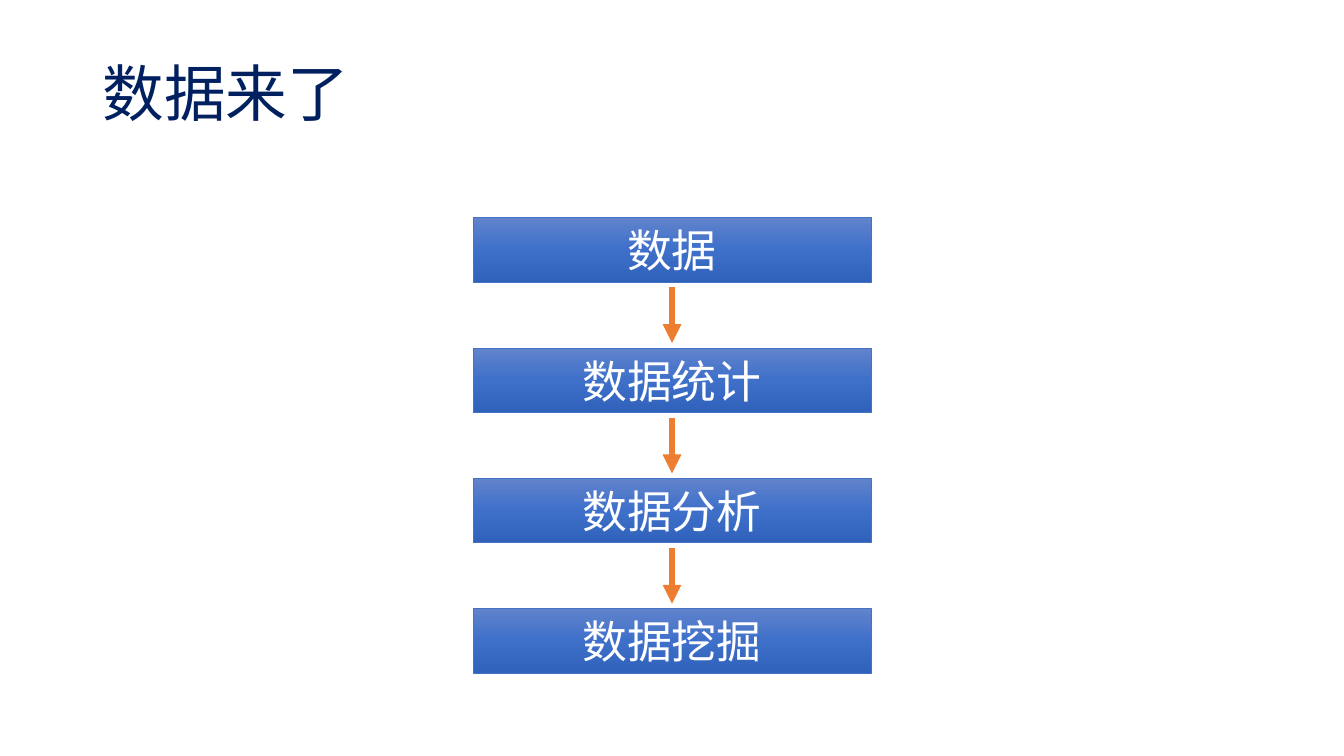
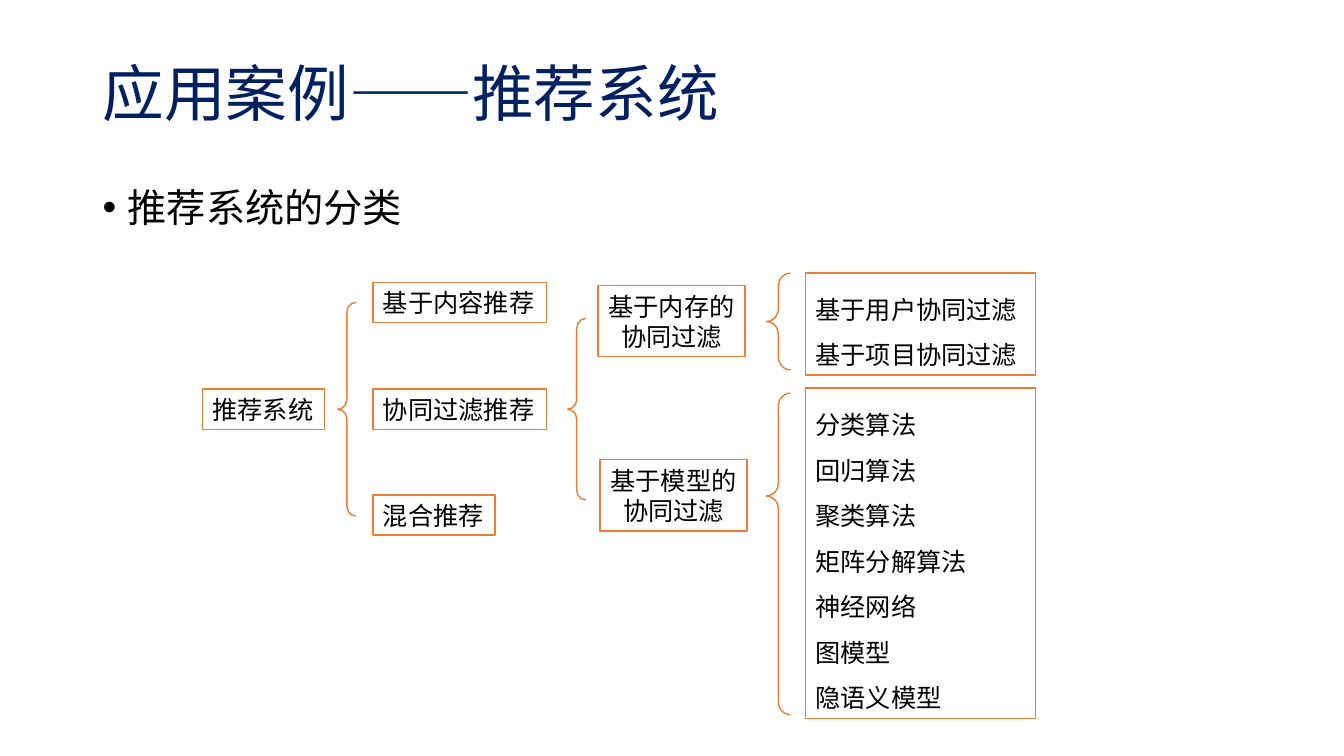
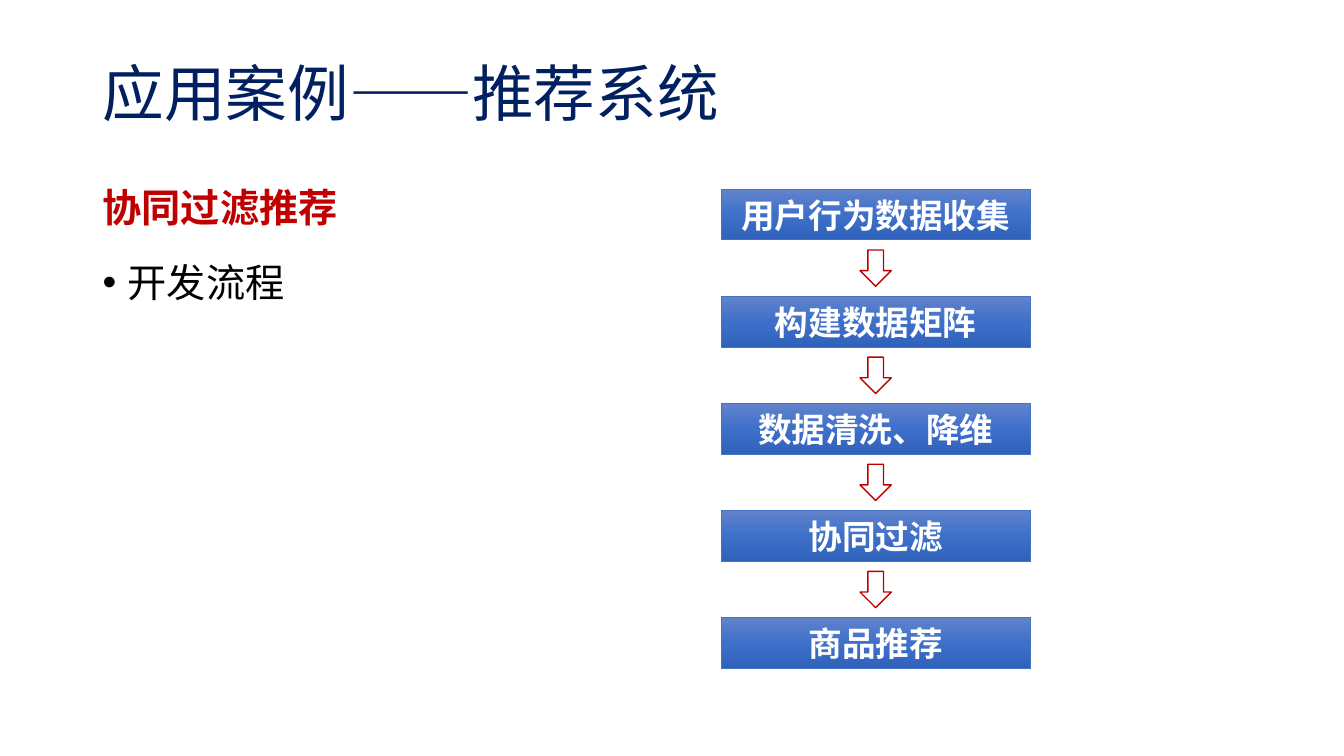
from lxml import etree
from pptx import Presentation
from pptx.dml.color import RGBColor
from pptx.enum import shapes, text
from pptx.oxml.ns import qn
from pptx.util import Inches, Pt

HUES = {"navy": "002060", "black": "000000", "white": "FFFFFF", "blue": "4472C4",
        "orange": "ED7D31", "red": "C00000"}
SHADE = [(0, "6183CB"), (50, "3E70CA"), (100, "3062BB")]
CJK = "Noto Sans CJK SC"
KIND = shapes.MSO_SHAPE
LEFT, MID = text.PP_ALIGN.LEFT, text.PP_ALIGN.CENTER

STAGES = ["数据", "数据统计", "数据分析", "数据挖掘"]
CASE = "应用案例——推荐系统"
FLOW = ["用户行为数据收集", "构建数据矩阵", "数据清洗、降维", "协同过滤", "商品推荐"]
NODES = [
    (2.01, 3.86, 1.21, "推荐系统"),
    (3.7, 2.8, 1.72, "基于内容推荐"),
    (3.7, 3.86, 1.72, "协同过滤推荐"),
    (3.7, 4.91, 1.21, "混合推荐"),
]
PAIRS = [
    (5.93, 2.83, "基于内存的\n协同过滤"),
    (5.95, 4.56, "基于模型的\n协同过滤"),
]
LISTS = [
    (2.71, 1.01, ["基于用户协同过滤", "基于项目协同过滤"]),
    (3.85, 3.28, ["分类算法", "回归算法", "聚类算法", "矩阵分解算法",
                  "神经网络", "图模型", "隐语义模型"]),
]
BRACES = [
    (3.35, 3, 0.18, 2.12, 0.5),
    (5.63, 3.16, 0.18, 1.8, 0.5),
    (7.6, 3.9, 0.24, 3.19, 0.32),
    (7.6, 2.71, 0.24, 0.96, 0.5),
]


def rgb(hue):
    return RGBColor.from_string(HUES[hue])


def style(para, size, hue, font=CJK, bold=False, align=LEFT, space=None):
    para.alignment = align
    if space:
        para.line_spacing = space
    for run in para.runs:
        run.font.size, run.font.bold, run.font.name = Pt(size), bold, font
        run.font.color.rgb = rgb(hue)
        etree.SubElement(run.font._element, qn("a:ea")).set("typeface", CJK)


def add_text(slide, box, words, anchor):
    frame = slide.shapes.add_textbox(*map(Inches, box)).text_frame
    frame.word_wrap = True
    frame.vertical_anchor = anchor
    frame.text = words
    return frame


def add_slide(deck, title):
    slide = deck.slides.add_slide(deck.slide_layouts[6])
    frame = add_text(slide, (0.92, 0.4, 11.5, 1.11), title, text.MSO_ANCHOR.MIDDLE)
    style(frame.paragraphs[0], 44, "navy", "Times New Roman", space=0.9)
    return slide


def add_body(slide, items):
    words = "\n".join(item[0] for item in items)
    frame = add_text(slide, (0.92, 1.63, 11.5, 5.13), words, text.MSO_ANCHOR.TOP)
    for para, (_, hue, head) in zip(frame.paragraphs, items):
        style(para, 28, hue, "Arial", head, space=Pt(43.6))
        para.space_before = Pt(10)
        if not head:
            props = para._p.get_or_add_pPr()
            props.set("marL", str(Inches(0.25)))
            props.set("indent", str(Inches(-0.25)))
            etree.SubElement(props, qn("a:buFont")).set("typeface", "Arial")
            etree.SubElement(props, qn("a:buChar")).set("char", "•")


def add_part(slide, kind, box, line, fill=None, width=1):
    part = slide.shapes.add_shape(kind, *map(Inches, box))
    part.shadow.inherit = False
    part.line.color.rgb = rgb(line)
    part.line.width = Pt(width)
    if fill:
        part.fill.solid()
        part.fill.fore_color.rgb = rgb(fill)
    else:
        part.fill.background()
    return part


def label(part, words, **look):
    frame = part.text_frame
    frame.word_wrap = True
    frame.vertical_anchor = text.MSO_ANCHOR.MIDDLE
    frame.text = words
    for para in frame.paragraphs:
        style(para, **look)


def add_step(slide, box, words, size, bold):
    step = add_part(slide, KIND.RECTANGLE, box, "blue", width=0.5)
    step.fill.gradient()
    step.fill.gradient_angle = 270
    stops = step._element.spPr.find(".//" + qn("a:gsLst"))
    for stop in list(stops):
        stops.remove(stop)
    for spot, tone in SHADE:
        stop = etree.SubElement(stops, qn("a:gs"), pos=str(spot * 1000))
        etree.SubElement(stop, qn("a:srgbClr"), val=tone)
    label(step, words, size=size, hue="white", bold=bold, align=MID)


def add_arrow(slide, x, top, end):
    arrow = slide.shapes.add_connector(
        shapes.MSO_CONNECTOR.STRAIGHT, Inches(x), Inches(top), Inches(x), Inches(end))
    arrow.line.color.rgb = rgb("orange")
    arrow.line.width = Pt(4.5)
    etree.SubElement(arrow.line._get_or_add_ln(), qn("a:tailEnd"), type="triangle")
    etree.SubElement(arrow._element.spPr, qn("a:effectLst"))


def add_node(slide, box, words, align=LEFT, space=None):
    node = add_part(slide, KIND.RECTANGLE, box, "orange", "white")
    label(node, words, size=18, hue="black", align=align, space=space)


def data_slide(deck):
    slide = add_slide(deck, "数据来了")
    left, top, wide, high, pitch, gap = 4.69, 2.16, 3.95, 0.64, 1.293, 0.05
    for i, words in enumerate(STAGES):
        y = top + i * pitch
        add_step(slide, (left, y, wide, high), words, 32, False)
        if i:
            add_arrow(slide, left + wide / 2, y - pitch + high + gap, y - gap)


def class_slide(deck):
    slide = add_slide(deck, CASE)
    add_body(slide, [("推荐系统的分类", "black", False)])
    for x, y, wide, words in NODES:
        add_node(slide, (x, y, wide, 0.4), words)
    for x, y, words in PAIRS:
        add_node(slide, (x, y, 1.46, 0.71), words, MID, Pt(21.6))
    for y, high, items in LISTS:
        add_node(slide, (7.99, y, 2.28, high), "\n".join(items), space=Pt(32.5))
    for *box, point in BRACES:
        brace = add_part(slide, KIND.LEFT_BRACE, box, "orange")
        brace.adjustments[0] = 0.53
        brace.adjustments[1] = point


def flow_slide(deck):
    slide = add_slide(deck, CASE)
    add_body(slide, [("协同过滤推荐", "red", True), ("开发流程", "black", False)])
    left, top, wide, high, pitch = 7.15, 1.88, 3.07, 0.5, 1.0625
    across, tall = 0.31, 0.36
    for i, words in enumerate(FLOW):
        y = top + i * pitch
        add_step(slide, (left, y, wide, high), words, 24, True)
        if i:
            box = (left + (wide - across) / 2, y - (pitch - high + tall) / 2, across, tall)
            add_part(slide, KIND.DOWN_ARROW, box, "red", "white")


def main():
    deck = Presentation()
    deck.slide_width, deck.slide_height = Inches(13.33), Inches(7.5)
    for build in (data_slide, class_slide, flow_slide):
        build(deck)
    deck.save("out.pptx")


if __name__ == "__main__":
    main()
